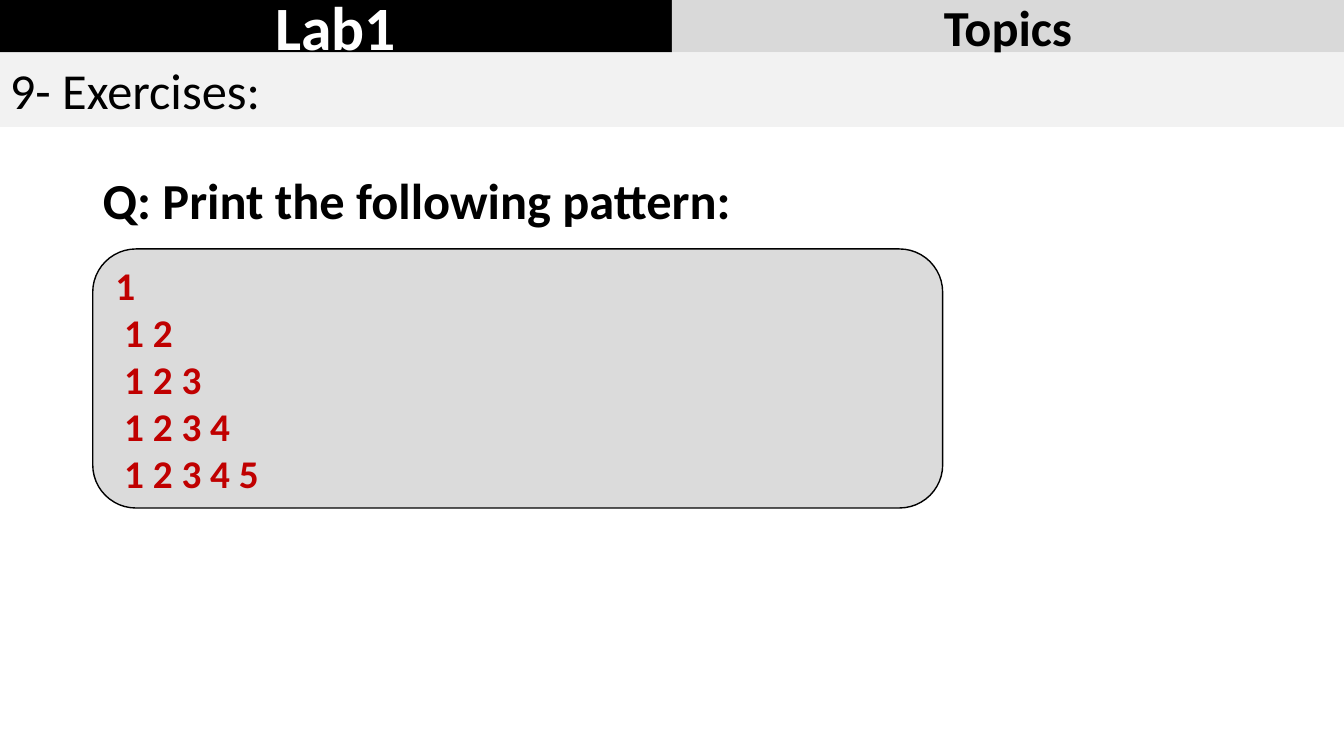
from pptx import Presentation
from pptx.dml.color import RGBColor
from pptx.enum.shapes import MSO_SHAPE
from pptx.enum.text import MSO_ANCHOR, PP_ALIGN
from pptx.util import Inches, Pt

RECT = MSO_SHAPE.RECTANGLE
ROUND = MSO_SHAPE.ROUNDED_RECTANGLE
MIDDLE = MSO_ANCHOR.MIDDLE
LEFT, CENTER = PP_ALIGN.LEFT, PP_ALIGN.CENTER

FONT = "Calibri"
COLORS = {
    "black": "000000",
    "white": "FFFFFF",
    "tab": "D9D9D9",
    "band": "F2F2F2",
    "panel": "DBDBDB",
    "red": "C00000",
}
WIDTH, HEIGHT = 13.33, 7.5
TOP = 0.52  # height of the header tabs


def color(name):
    return RGBColor.from_string(COLORS[name])


def write(frame, text, size, ink, bold=True, align=LEFT):
    frame.word_wrap = True
    frame.text = text
    for para in frame.paragraphs:
        para.alignment = align
        for run in para.runs:
            font = run.font
            font.name, font.size, font.bold = FONT, Pt(size), bold
            font.color.rgb = color(ink)


def block(slide, box, fill, kind=RECT, edge=None):
    """Add a filled shape and return it."""
    shape = slide.shapes.add_shape(kind, *map(Inches, box))
    shape.shadow.inherit = False
    shape.fill.solid()
    shape.fill.fore_color.rgb = color(fill)
    if edge:
        shape.line.color.rgb = color(edge)
        shape.line.width = Pt(1)
    else:
        shape.line.fill.background()
    shape.text_frame.vertical_anchor = MIDDLE
    return shape


def header(slide, box):
    """Add the two tabs and the section band below them."""
    x, y, w, h = box
    half = w / 2
    tabs = [("Lab1", 44, "black", "white"), ("Topics", 36, "tab", "black")]
    for i, (text, size, fill, ink) in enumerate(tabs):
        tab = block(slide, (x + i * half, y, half, TOP), fill)
        write(tab.text_frame, text, size, ink, align=CENTER)
    band = block(slide, (x, y + TOP, w, h - TOP), "band")
    write(band.text_frame, "9- Exercises:", 36, "black", bold=False)


def question(slide, box):
    frame = slide.shapes.add_textbox(*map(Inches, box)).text_frame
    write(frame, "Q: Print the following pattern:", 36, "black")
    para = frame.paragraphs[0]
    para.line_spacing = 0.9
    para.space_before = Pt(10)


def pattern(slide, box, count):
    """Add the panel with the rows 1 to count."""
    rows = [" ".join(str(n) for n in range(1, last + 1))
            for last in range(1, count + 1)]
    panel = block(slide, box, "panel", ROUND, "black")
    write(panel.text_frame, "\n ".join(rows), 28, "red")


def main():
    deck = Presentation()
    deck.slide_width, deck.slide_height = Inches(WIDTH), Inches(HEIGHT)
    slide = deck.slides.add_slide(deck.slide_layouts[6])
    header(slide, (0, 0, WIDTH, 1.26))
    question(slide, (0.92, 1.7, 11.5, 0.75))
    pattern(slide, (0.92, 2.47, 8.43, 2.57), 5)
    deck.save("out.pptx")


if __name__ == "__main__":
    main()
